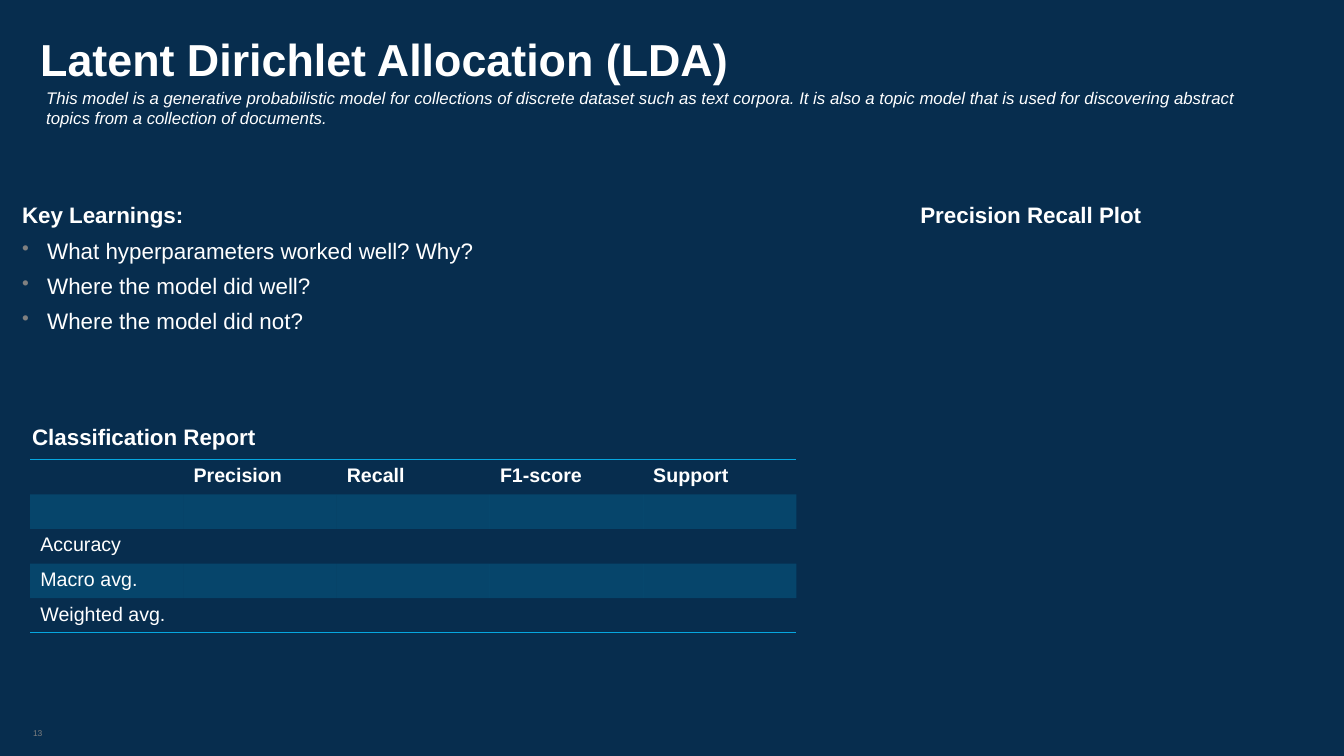
from dataclasses import dataclass
from lxml.etree import SubElement
from pptx import Presentation
from pptx.dml.color import RGBColor
from pptx.enum.text import MSO_ANCHOR, PP_ALIGN
from pptx.oxml.ns import qn
from pptx.util import Inches, Pt


@dataclass(frozen=True)
class Theme:
    font: str = "Arial"
    back: str = "072D4E"
    text: str = "FFFFFF"
    muted: str = "808080"
    accent: str = "06A7E0"
    band_alpha: int = 20
    title: int = 32
    heading: int = 16
    cell: int = 14
    summary: int = 12
    number: int = 6


T = Theme()
W, H = 13.33, 7.5
PAD = (0.1, 0.1, 0.2, 0.1)

TITLE = "Latent Dirichlet Allocation (LDA)"
SUMMARY = ("This model is a generative probabilistic model for collections of discrete dataset "
           "such as text corpora. It is also a topic model that is used for discovering abstract "
           "topics from a collection of documents.")
LEARNINGS = "Key Learnings:"
QUESTIONS = [
    "What hyperparameters worked well? Why?",
    "Where the model did well?",
    "Where the model did not?",
]
REPORT = "Classification Report"
PLOT = "Precision Recall Plot"
NUMBER = "13"
ROWS = [
    ["", "Precision", "Recall", "F1-score", "Support"],
    [""] * 5,
    ["Accuracy"] + [""] * 4,
    ["Macro avg."] + [""] * 4,
    ["Weighted avg."] + [""] * 4,
]

LEFT = 0.3
BODY_TOP = 1.9
TABLE_TOP, COL_W, ROW_H = 4.56, 1.52, 0.344


def style(p, size, color=T.text, bold=False, italic=False):
    f = p.font
    f.name, f.size, f.bold, f.italic = T.font, Pt(size), bold, italic
    f.color.rgb = RGBColor.from_string(color)


def add_text(s, box, lines, size, pad=PAD, after=6, anchor=MSO_ANCHOR.TOP, **look):
    tf = s.shapes.add_textbox(*map(Inches, box)).text_frame
    tf.word_wrap, tf.vertical_anchor = True, anchor
    tf.margin_left, tf.margin_top, tf.margin_right, tf.margin_bottom = map(Inches, pad)
    tf.text = "\n".join(lines)
    for p in tf.paragraphs:
        p.space_after = Pt(after)
        style(p, size, **look)
    return tf.paragraphs


def add_bullet(p):
    pr = p._p.get_or_add_pPr()
    pr.set("marL", str(Inches(0.25)))
    pr.set("indent", str(-Inches(0.25)))
    color = pr.makeelement(qn("a:buClr"), {})
    SubElement(color, qn("a:srgbClr"), val=T.muted)
    size = pr.makeelement(qn("a:buSzPct"), {"val": "90000"})
    char = pr.makeelement(qn("a:buChar"), {"char": "•"})
    mark = pr.find(qn("a:defRPr"))
    for el in (color, size, char):
        mark.addprevious(el)


def set_borders(cell, sides):
    pr = cell._tc.get_or_add_tcPr()
    at = 0
    for side in ("L", "R", "T", "B"):
        ln = pr.makeelement(qn(f"a:ln{side}"), {"w": str(Pt(1))})
        if side in sides:
            fill = SubElement(ln, qn("a:solidFill"))
            SubElement(fill, qn("a:srgbClr"), val=T.accent)
        else:
            SubElement(ln, qn("a:noFill"))
        pr.insert(at, ln)
        at += 1


def fill_band(cell):
    cell.fill.solid()
    cell.fill.fore_color.rgb = RGBColor.from_string(T.accent)
    color = cell._tc.tcPr.find(".//" + qn("a:srgbClr"))
    SubElement(color, qn("a:alpha"), val=str(T.band_alpha * 1000))


def add_report(s):
    n, m = len(ROWS), len(ROWS[0])
    table = s.shapes.add_table(n, m, Inches(LEFT), Inches(TABLE_TOP),
                               Inches(m * COL_W), Inches(n * ROW_H)).table
    table.horz_banding = False
    table.first_row = False
    sides = {0: "TB", n - 1: "B"}
    for i, row in enumerate(ROWS):
        for j, text in enumerate(row):
            cell = table.cell(i, j)
            cell.text = text
            p = cell.text_frame.paragraphs[0]
            style(p, T.cell, bold=i == 0)
            if not text:
                p._p.get_or_add_endParaRPr().set("sz", str(T.cell * 100))
            if i % 2:
                fill_band(cell)
            else:
                cell.fill.background()
            set_borders(cell, sides.get(i, ""))


def main():
    prs = Presentation()
    prs.slide_width, prs.slide_height = Inches(W), Inches(H)
    s = prs.slides.add_slide(prs.slide_layouts[6])
    s.background.fill.solid()
    s.background.fill.fore_color.rgb = RGBColor.from_string(T.back)

    add_text(s, (LEFT, 0.25, 12.75, 0.6), [TITLE], T.title, pad=(0.1, 0.05, 0.16, 0),
             after=0, anchor=MSO_ANCHOR.BOTTOM, bold=True)
    number = add_text(s, (0.12, 7.17, 0.36, 0.21), [NUMBER], T.number, pad=(0.06,) * 4,
                      after=0, color=T.muted)
    number[0].alignment = PP_ALIGN.RIGHT
    head, *questions = add_text(s, (0.12, BODY_TOP, 6.55, 1.53),
                                [LEARNINGS, *QUESTIONS], T.heading)
    head.font.bold = True
    for p in questions:
        add_bullet(p)
    add_text(s, (0.36, 0.77, 12.5, 0.61), [SUMMARY], T.summary, italic=True)
    add_report(s)
    add_text(s, (0.22, 4.1, 2.71, 0.47), [REPORT], T.heading, bold=True)
    add_text(s, (9.03, BODY_TOP, 3.59, 0.47), [PLOT], T.heading, bold=True)
    prs.save("out.pptx")


if __name__ == "__main__":
    main()
